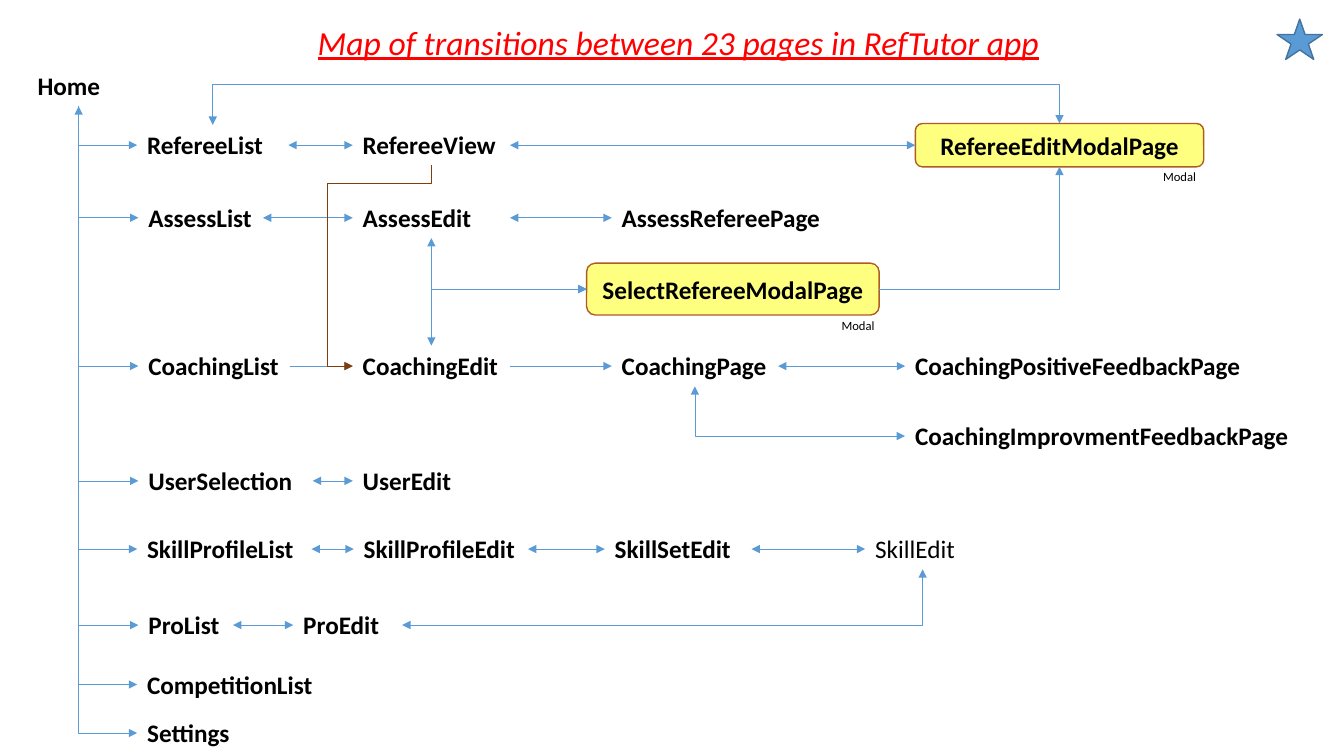
"""Draw the map of page transitions as glued connectors between labels."""
from lxml import etree
from pptx import Presentation
from pptx.dml.color import RGBColor
from pptx.enum.shapes import MSO_CONNECTOR, MSO_SHAPE
from pptx.enum.text import MSO_ANCHOR, MSO_AUTO_SIZE, PP_ALIGN
from pptx.oxml.ns import qn
from pptx.util import Pt

COLORS = {"ink": "000000", "title": "FF0000", "link": "5B9BD5", "back": "843C0B",
          "modal": "FFFF00", "edge": "AF5C24", "star": "5B9BD5", "rim": "43739E"}
TOP, LEFT, BOTTOM, RIGHT = range(4)
HIGH = 29.1


class Map:
    """Hold the style and the current slide."""

    def __init__(self, slide):
        self.slide = slide
        self.shapes = slide.shapes
        self.font = "Calibri"
        self.nodes = {}

    def color(self, name):
        return RGBColor.from_string(COLORS[name])

    def text(self, shape, words, size=18, bold=True, color="ink", align=PP_ALIGN.LEFT):
        para = shape.text_frame.paragraphs[0]
        para.alignment = align
        run = para.add_run()
        run.text = words
        font = run.font
        font.name, font.size, font.bold = self.font, Pt(size), bold
        font.color.rgb = self.color(color)
        return font

    def title(self, words, left, top, width, height):
        shape = self.slide.shapes.title
        shape.left, shape.top = Pt(left), Pt(top)
        shape.width, shape.height = Pt(width), Pt(height)
        frame = shape.text_frame
        frame.word_wrap = False
        frame.auto_size = MSO_AUTO_SIZE.NONE
        frame.vertical_anchor = MSO_ANCHOR.MIDDLE
        frame.paragraphs[0].line_spacing = 1.0
        font = self.text(shape, words, 24, False, "title", PP_ALIGN.CENTER)
        font.italic = font.underline = True

    def label(self, words, left, top, width, height=HIGH, size=18, bold=True):
        box = self.shapes.add_textbox(Pt(left), Pt(top), Pt(width), Pt(height))
        box.text_frame.word_wrap = True
        box.text_frame.auto_size = MSO_AUTO_SIZE.SHAPE_TO_FIT_TEXT
        self.text(box, words, size, bold)
        return box

    def shape(self, kind, left, top, width, height, fill, line):
        shape = self.shapes.add_shape(kind, Pt(left), Pt(top), Pt(width), Pt(height))
        shape.shadow.inherit = False
        shape.fill.solid()
        shape.fill.fore_color.rgb = self.color(fill)
        shape.line.color.rgb = self.color(line)
        shape.line.width = Pt(1)
        return shape

    def modal(self, words, left, mid, width, height):
        box = self.shape(MSO_SHAPE.ROUNDED_RECTANGLE, left, mid - height / 2,
                         width, height, "modal", "edge")
        tint = box._element.spPr.find(qn("a:solidFill"))[0]
        etree.SubElement(tint, qn("a:alpha"), val="50000")
        frame = box.text_frame
        frame.word_wrap = True
        frame.margin_left = frame.margin_right = 0
        frame.vertical_anchor = MSO_ANCHOR.MIDDLE
        self.text(box, words, align=PP_ALIGN.CENTER)
        self.nodes[words] = box

    def link(self, start, side, end, goal, ends="both", color="link", bend=None, adjust=()):
        kind = MSO_CONNECTOR.ELBOW if bend else MSO_CONNECTOR.STRAIGHT
        line = self.shapes.add_connector(kind, 0, 0, 0, 0)
        line.begin_connect(self.nodes[start], side)
        line.end_connect(self.nodes[end], goal)
        line.line.color.rgb = self.color(color)
        line.line.width = Pt(0.5)
        prop = line._element.spPr
        for tag in ("head", "tail"):
            if ends in (tag, "both"):
                etree.SubElement(prop.find(qn("a:ln")), qn(f"a:{tag}End"), type="triangle")
        etree.SubElement(prop, qn("a:effectLst"))
        if bend:
            form = prop.find(qn("a:prstGeom"))
            form.set("prst", f"bentConnector{bend}")
            for spot, value in enumerate(adjust, 1):
                etree.SubElement(form.find(qn("a:avLst")), qn("a:gd"),
                                 name=f"adj{spot}", fmla=f"val {round(value * 100000)}")
        return line

    def arch(self, start, end, peak):
        one, two = self.nodes[start], self.nodes[end]
        rise = one.top - two.top
        line = self.link(start, TOP, end, TOP, bend=3,
                         adjust=[(one.top - Pt(peak)) / rise])
        span = line.end_x - line.begin_x
        mid = (line.begin_x + line.end_x) // 2
        line.left, line.top = mid - rise // 2, two.top + rise // 2 - span // 2
        line.width, line.height = rise, span
        form = line._element.spPr.find(qn("a:xfrm"))
        for key, value in (("rot", "5400000"), ("flipH", "1"), ("flipV", "1")):
            form.set(key, value)


deck = Presentation()
deck.slide_width, deck.slide_height = Pt(960), Pt(540)
page = Map(deck.slides.add_slide(deck.slide_layouts[5]))
page.title("Map of transitions between 23 pages in RefTutor app", 208, 11.8, 553, 36.4)

ROWS = [
    (61.5, [("Home", 19.7, 73)]),
    (103.7, [("RefereeList", 98, 108), ("RefereeView", 252, 112.3)]),
    (155.6, [("AssessList", 98.9, 89), ("AssessEdit", 252, 112.3),
             ("AssessRefereePage", 437, 158.4)]),
    (261.5, [("CoachingList", 98.9, 108), ("CoachingEdit", 252, 112.3),
             ("CoachingPage", 437, 118.8), ("CoachingPositiveFeedbackPage", 646.5, 265.7)]),
    (311.5, [("CoachingImprovmentFeedbackPage", 646.5, 281)]),
    (343.5, [("UserSelection", 98.9, 124.5), ("UserEdit", 252, 112.3)]),
    (392.2, [("SkillProfileList", 98, 124.5), ("SkillProfileEdit", 252.7, 124.5),
             ("SkillSetEdit", 432, 104.8), ("SkillEdit", 618, 82)]),
    (446.5, [("ProList", 98.9, 67.5), ("ProEdit", 209.5, 77.8)]),
    (489, [("CompetitionList", 98, 134)]),
    (523.6, [("Settings", 98, 134)]),
]
for mid, names in ROWS:
    for name, left, width in names:
        page.nodes[name] = page.label(name, left, mid - HIGH / 2, width,
                                      bold=name != "SkillEdit")

page.modal("SelectRefereeModalPage", 419, 206.5, 209, 37)
page.modal("RefereeEditModalPage", 653.8, 103.7, 206, 31)
for left, top in ((823.7, 117.4), (594, 223.2)):
    page.label("Modal", left, top, 40, 18, 9, False)

for mid, names in ROWS:
    first = names[0][0]
    if first not in ("Home", "CoachingImprovmentFeedbackPage"):
        page.link(first, LEFT, "Home", BOTTOM, "both" if first == "AssessList" else "head", bend=2)
    for (one, *_), (two, *_) in zip(names, names[1:]):
        plain = two in ("CoachingEdit", "CoachingPage")
        page.link(one, RIGHT, two, LEFT, "tail" if plain else "both")

page.link("RefereeView", RIGHT, "RefereeEditModalPage", LEFT)
page.link("SelectRefereeModalPage", LEFT, "AssessEdit", BOTTOM, bend=2)
page.link("SelectRefereeModalPage", LEFT, "CoachingEdit", TOP, bend=2)
page.link("SelectRefereeModalPage", RIGHT, "RefereeEditModalPage", BOTTOM, "tail", bend=2)
page.link("CoachingImprovmentFeedbackPage", LEFT, "CoachingPage", BOTTOM, bend=2)
page.link("ProEdit", RIGHT, "SkillEdit", BOTTOM, bend=2)
page.link("CoachingEdit", LEFT, "RefereeView", BOTTOM, "head", "back", 4, (-0.32, 0.91))
page.arch("RefereeList", "RefereeEditModalPage", 60.5)
page.shape(MSO_SHAPE.STAR_5_POINT, 912.2, 13.7, 32.4, 28.8, "star", "rim")
deck.save("out.pptx")
